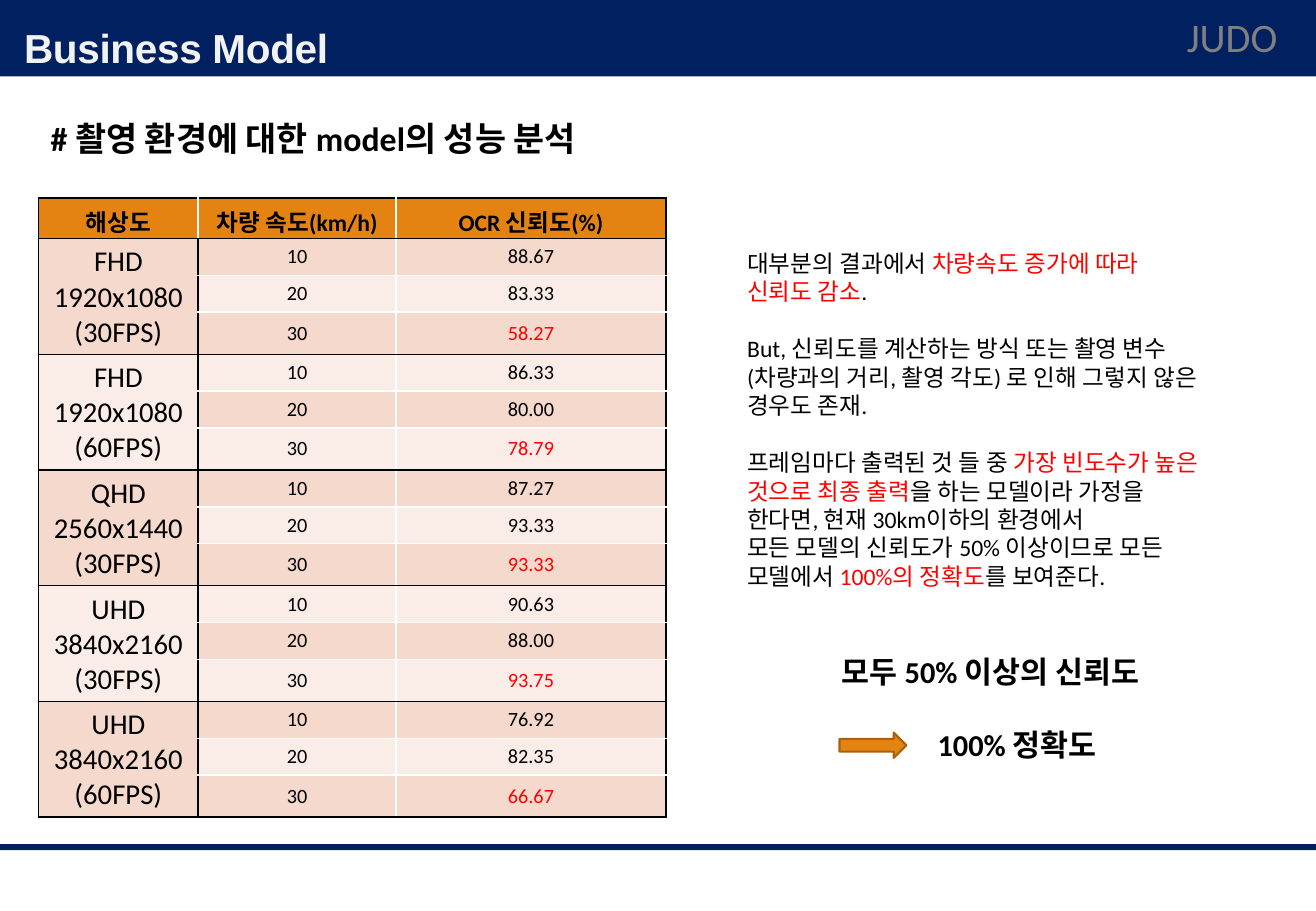
from dataclasses import dataclass

from lxml.etree import SubElement
from pptx import Presentation
from pptx.dml.color import RGBColor
from pptx.enum.shapes import MSO_SHAPE
from pptx.enum.text import MSO_ANCHOR, MSO_AUTO_SIZE, PP_ALIGN
from pptx.oxml.ns import qn
from pptx.util import Cm, Pt


@dataclass(frozen=True)
class Theme:
    title_font: str = "Arial"
    body_font: str = "Calibri"
    navy: str = "002060"
    orange: str = "E48312"
    brown: str = "A9610D"
    dark_band: str = "F5D9CC"
    light_band: str = "FAEDE7"
    black: str = "000000"
    white: str = "FFFFFF"
    title_color: str = "F2F2F2"
    gray: str = "808080"
    red: str = "FF0000"
    title_size: float = 24
    heading_size: float = 20
    conclusion_size: float = 18
    resolution_size: float = 17
    body_size: float = 14
    value_size: float = 12


class SlideBuilder:
    def __init__(self, presentation, theme):
        self.theme = theme
        self.slide = presentation.slides.add_slide(presentation.slide_layouts[5])

    def style(self, run, size, color, bold=False, font=None):
        run.font.name = font or self.theme.body_font
        run.font.size = Pt(size)
        run.font.bold = bold
        run.font.color.rgb = RGBColor.from_string(color)

    def title(self, text, left, top, width, height):
        title = self.slide.shapes.title
        title.left, title.top, title.width, title.height = map(Cm, (left, top, width, height))
        frame = title.text_frame
        frame.text = text
        frame.auto_size = MSO_AUTO_SIZE.NONE
        frame.vertical_anchor = MSO_ANCHOR.BOTTOM
        paragraph = frame.paragraphs[0]
        paragraph.alignment = PP_ALIGN.LEFT
        paragraph.line_spacing = 0.85
        run = paragraph.runs[0]
        self.style(run, self.theme.title_size, self.theme.title_color, True, self.theme.title_font)
        run.font._element.set("spc", "-20")

    def shape(self, kind, left, top, width, height, fill, line=None):
        shape = self.slide.shapes.add_shape(kind, Cm(left), Cm(top), Cm(width), Cm(height))
        shape.shadow.inherit = False
        shape.fill.solid()
        shape.fill.fore_color.rgb = RGBColor.from_string(fill)
        if line:
            shape.line.color.rgb = RGBColor.from_string(line)
            shape.line.width = Pt(1.25)
        else:
            shape.line.fill.background()
        return shape

    def bar(self, top, width, height):
        bar = self.shape(MSO_SHAPE.RECTANGLE, 0, top, width, height, self.theme.navy)
        self.slide.shapes._spTree.insert(2, bar._element)  # behind the title

    def text(self, paragraphs, left, top, width, height, size, bold=False):
        """Each paragraph is (space before in points, indent in cm, [(text, color)])."""
        box = self.slide.shapes.add_textbox(Cm(left), Cm(top), Cm(width), Cm(height))
        frame = box.text_frame
        frame.word_wrap = True
        for index, (space, indent, runs) in enumerate(paragraphs):
            paragraph = frame.add_paragraph() if index else frame.paragraphs[0]
            if space:
                paragraph.space_before = Pt(space)
            if indent:
                paragraph._p.get_or_add_pPr().set("marL", str(Cm(indent)))
            for text, color in runs:
                run = paragraph.add_run()
                run.text = text
                self.style(run, size, color, bold)

    def cell(self, cell, text, fill, borders, size, color, bold=False):
        properties = cell._tc.get_or_add_tcPr()
        for side, border_color in zip("LRTB", borders):
            line = SubElement(properties, qn(f"a:ln{side}"), w=str(Pt(1)))
            solid = SubElement(line, qn("a:solidFill"))
            SubElement(solid, qn("a:srgbClr"), val=border_color)
        cell.fill.solid()
        cell.fill.fore_color.rgb = RGBColor.from_string(fill)
        cell.vertical_anchor = MSO_ANCHOR.MIDDLE
        cell.text_frame.text = text
        for paragraph in cell.text_frame.paragraphs:
            paragraph.alignment = PP_ALIGN.CENTER
            for run in paragraph.runs:
                self.style(run, size, color, bold)

    def results_table(self, headers, groups, speeds, left, top, widths, header_height, heights):
        theme = self.theme
        group_size = len(speeds)
        rows = [headers]
        for name, values in groups:
            rows += [(name if speed == speeds[0] else "", speed, value)
                     for speed, value in zip(speeds, values)]
        row_heights = [header_height] + list(heights) * len(groups)
        table = self.slide.shapes.add_table(
            len(rows), len(widths), Cm(left), Cm(top), Cm(sum(widths)), Cm(sum(row_heights))).table
        table.horz_banding = False
        for column, width in zip(table.columns, widths):
            column.width = Cm(width)
        for row, height in zip(table.rows, row_heights):
            row.height = Cm(height)

        def vertical(edge, row):
            outer = edge in (0, len(widths)) or (edge == 1 and row > 0)
            return theme.black if outer else theme.white

        def horizontal(edge, column):
            outer = column == 0 or edge == 0 or edge % group_size == 1
            return theme.black if outer else theme.white

        for row, texts in enumerate(rows):
            for column, text in enumerate(texts):
                borders = (vertical(column, row), vertical(column + 1, row),
                           horizontal(row, column), horizontal(row + 1, column))
                fill = theme.dark_band if row % 2 else theme.light_band
                size, color = theme.value_size, theme.black
                if row == 0:
                    fill, size = theme.orange, theme.body_size
                elif column == 0:
                    size = theme.resolution_size
                elif column == 2 and row % group_size == 0:
                    color = theme.red
                self.cell(table.cell(row, column), text, fill, borders, size, color, row == 0)
        for first in range(1, len(rows), group_size):
            table.cell(first, 0).merge(table.cell(first + group_size - 1, 0))


def main():
    theme = Theme()
    black, red = theme.black, theme.red
    presentation = Presentation()
    presentation.slide_width, presentation.slide_height = Cm(27.51), Cm(19.05)
    builder = SlideBuilder(presentation, theme)

    # Title band and footer line
    builder.title("Business Model", 0.25, 0, 27.03, 1.63)
    builder.bar(0, 27.51, 1.6)
    builder.bar(17.65, 27.51, 0.13)
    builder.text([(0, 0, [("JUDO", theme.gray)])], 24.56, 0.13, 2.6, 1.27, theme.title_size)

    # Heading
    builder.text([(0, 0, [("# 촬영 환경에 대한 model의 성능 분석", black)])],
                 0.81, 2.34, 24.77, 1.12, theme.heading_size, True)

    # Confidence by resolution and vehicle speed
    builder.results_table(
        ("해상도", "차량 속도(km/h)", "OCR 신뢰도(%)"),
        [("FHD\n1920x1080\n(30FPS)", ("88.67", "83.33", "58.27")),
         ("FHD\n1920x1080\n(60FPS)", ("86.33", "80.00", "78.79")),
         ("QHD\n2560x1440\n(30FPS)", ("87.27", "93.33", "93.33")),
         ("UHD\n3840x2160\n(30FPS)", ("90.63", "88.00", "93.75")),
         ("UHD\n3840x2160\n(60FPS)", ("76.92", "82.35", "66.67"))],
        ("10", "20", "30"), 0.81, 4.14, (3.33, 4.14, 5.64), 0.84, (0.77, 0.77, 0.88))

    # Analysis
    builder.text([
        (0, 0, [("대부분의 결과에서 ", black), ("차량속도 증가에 따라", red)]),
        (0, 0, [("신뢰도 감소", red), (".", black)]),
        (17, 0, [("But, 신뢰도를 계산하는 방식 또는 촬영 변수(차량과의 거리, 촬영 각도) "
                  "로 인해 그렇지 않은 경우도 존재.", black)]),
        (17, 0, [("프레임마다 출력된 것 들 중 ", black),
                 ("가장 빈도수가 높은 것으로 최종 출력", red),
                 ("을 하는 모델이라 가정을 한다면, 현재 30km이하의 환경에서", black)]),
        (0, 0, [("모든 모델의 신뢰도가 50% 이상이므로 모든 모델에서 ", black),
                ("100%의 정확도", red), ("를 보여준다.", black)]),
    ], 15.37, 5.08, 10.01, 7.44, theme.body_size)

    # Conclusion
    builder.text([(0, 0, [("모두 50% 이상의 신뢰도", black)]),
                  (21.7, 2, [("100% 정확도", black)])],
                 17.35, 13.54, 7.5, 2.57, theme.conclusion_size, True)
    builder.shape(MSO_SHAPE.RIGHT_ARROW, 17.55, 15.32, 1.4, 0.53, theme.orange, theme.brown)

    presentation.save("out.pptx")


if __name__ == "__main__":
    main()
